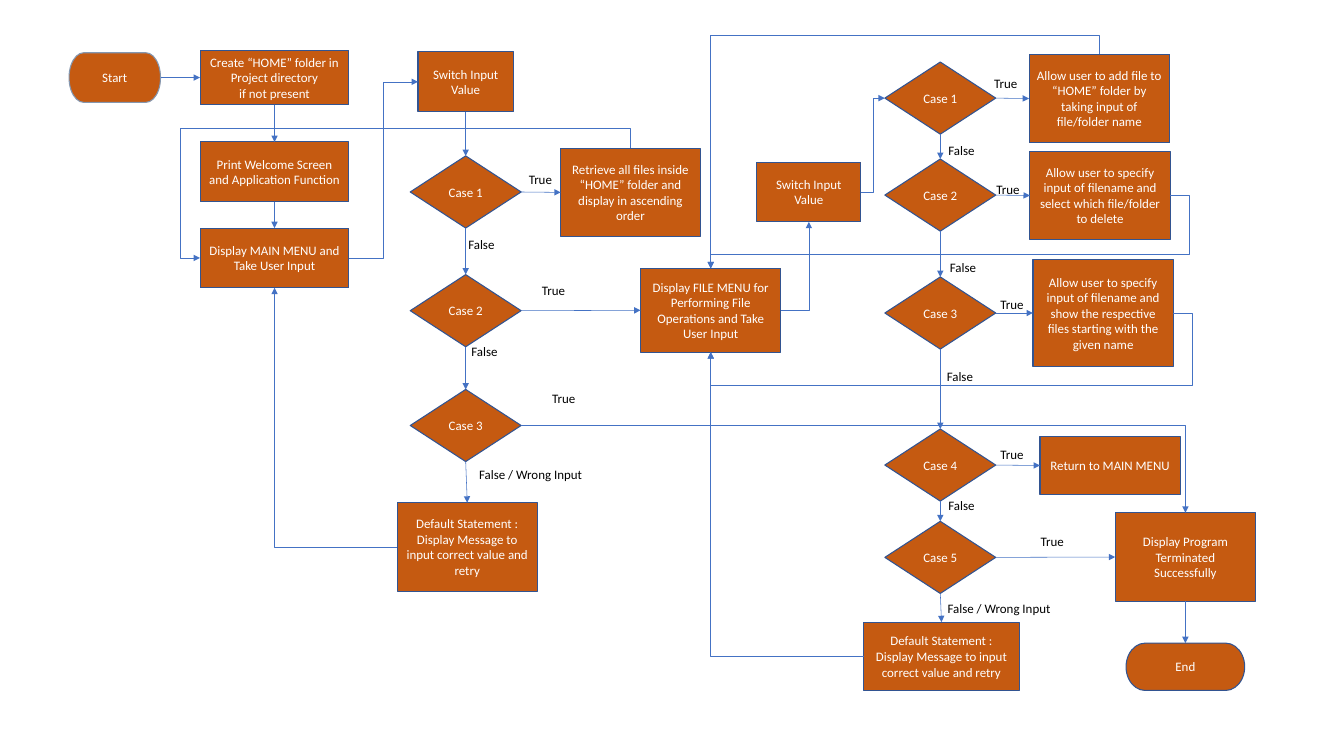
from collections import namedtuple

from lxml import etree
from pptx import Presentation
from pptx.dml.color import RGBColor
from pptx.enum.shapes import MSO_CONNECTOR, MSO_SHAPE
from pptx.enum.text import MSO_ANCHOR, MSO_AUTO_SIZE, PP_ALIGN
from pptx.oxml.ns import qn
from pptx.util import Pt

SCALE = 9144
PAGE_WIDTH, PAGE_HEIGHT = 1733, 950
COLORS = {"fill": "C55A11", "outline": "325491", "start": "8497B0",
          "arrow": "4472C4", "light": "FFFFFF", "dark": "000000"}
FONT = "Calibri"
RECTANGLE = MSO_SHAPE.RECTANGLE
PROCESS = MSO_SHAPE.FLOWCHART_PROCESS
DECISION = MSO_SHAPE.FLOWCHART_DECISION
TERMINATOR = MSO_SHAPE.FLOWCHART_TERMINATOR
STRAIGHT, ELBOW = MSO_CONNECTOR.STRAIGHT, MSO_CONNECTOR.ELBOW
CENTER, LEFT_ALIGN = PP_ALIGN.CENTER, PP_ALIGN.LEFT
MIDDLE, FIT_SHAPE = MSO_ANCHOR.MIDDLE, MSO_AUTO_SIZE.SHAPE_TO_FIT_TEXT
TOP, LEFT, BOTTOM, RIGHT = range(4)
CASE_SIZE = (143, 93)
STEP_SIZE = (181, 114)
LABEL_WIDTHS = {"True": 50, "False": 54, "False / Wrong Input": 154}
DEFAULT_TEXT = "Default Statement : Display Message to input correct value and retry"

Box = namedtuple("Box", "left top")


def px(length):
    """Turn px into EMU."""
    return round(length * SCALE)


def color(name):
    """Look up a named colour."""
    return RGBColor.from_string(COLORS[name])


def write_text(frame, text, color_name, align):
    """Fill a text frame and format its runs."""
    frame.text = text
    for para in frame.paragraphs:
        para.alignment = align
        for span in para.runs:
            span.font.name = FONT
            span.font.size = Pt(12)
            span.font.color.rgb = color(color_name)


def add_node(page, box, kind, text, place, size, outline="outline"):
    """Draw one flowchart node at a place inside the box."""
    node = page.shapes.add_shape(kind, px(box.left + place[0]), px(box.top + place[1]),
                                 px(size[0]), px(size[1]))
    node.shadow.inherit = False
    node.fill.solid()
    node.fill.fore_color.rgb = color("fill")
    node.line.color.rgb = color(outline)
    node.line.width = Pt(1)
    node.text_frame.word_wrap = True
    node.text_frame.vertical_anchor = MIDDLE
    write_text(node.text_frame, text, "light", CENTER)
    return node


def add_labels(page, box, labels):
    """Write branch labels inside the box."""
    for text, left, top in labels:
        label = page.shapes.add_textbox(px(box.left + left), px(box.top + top),
                                        px(LABEL_WIDTHS[text]), px(30))
        label.text_frame.word_wrap = False
        label.text_frame.auto_size = FIT_SHAPE
        write_text(label.text_frame, text, "dark", LEFT_ALIGN)


def add_arrow(page, source, source_side, target, target_side, kind=STRAIGHT):
    """Join two nodes with an arrow."""
    arrow = page.shapes.add_connector(kind, 0, 0, 0, 0)
    arrow.begin_connect(source, source_side)
    arrow.end_connect(target, target_side)
    arrow.line.color.rgb = color("arrow")
    arrow.line.width = Pt(0.5)
    properties = arrow._element.spPr
    etree.SubElement(properties.find(qn("a:ln")), qn("a:tailEnd"), type="triangle")
    etree.SubElement(properties, qn("a:effectLst"))
    return arrow


def add_elbow(page, source, source_side, target, target_side, bends=()):
    """Join two nodes with a bent arrow whose inner segments lie at the bends."""
    arrow = add_arrow(page, source, source_side, target, target_side, ELBOW)
    begin = (arrow.begin_x, arrow.begin_y)
    end = (arrow.end_x, arrow.end_y)
    delta = (end[0] - begin[0], end[1] - begin[1])
    first_axis = 1 if source_side in (TOP, BOTTOM) else 0
    properties = arrow._element.spPr
    if first_axis:
        center = ((begin[0] + end[0]) // 2, (begin[1] + end[1]) // 2)
        half = (-delta[1] // 2, delta[0] // 2)
        arrow.begin_x, arrow.begin_y = center[0] - half[0], center[1] - half[1]
        arrow.end_x, arrow.end_y = center[0] + half[0], center[1] + half[1]
        properties.find(qn("a:xfrm")).set("rot", "16200000")
    geometry = properties.find(qn("a:prstGeom"))
    geometry.set("prst", f"bentConnector{len(bends) + 2}")
    for index, bend in enumerate(bends):
        axis = (first_axis + index) % 2
        ratio = round((px(bend) - begin[axis]) / delta[axis] * 100000)
        etree.SubElement(geometry.find(qn("a:avLst")), qn("a:gd"),
                         name=f"adj{index + 1}" if len(bends) > 1 else "adj1",
                         fmla=f"val {ratio}")


def add_cases(page, box, left, tops):
    """Draw a column of numbered cases linked by arrows."""
    cases = [add_node(page, box, DECISION, f"Case {number}", (left, top), CASE_SIZE)
             for number, top in enumerate(tops, 1)]
    for upper, lower in zip(cases, cases[1:]):
        add_arrow(page, upper, BOTTOM, lower, TOP)
    return cases


def draw_startup(page, box):
    """Draw the start column and return the main menu node."""
    start = add_node(page, box, TERMINATOR, "Start", (0, 3), (118, 64), "start")
    folder = add_node(page, box, RECTANGLE,
                      "Create “HOME” folder in Project directory\nif not present",
                      (169, 0), (192, 70))
    welcome = add_node(page, box, RECTANGLE, "Print Welcome Screen and Application Function",
                       (169, 118), (192, 77))
    menu = add_node(page, box, RECTANGLE, "Display MAIN MENU and Take User Input",
                    (169, 229), (192, 77))
    add_arrow(page, start, RIGHT, folder, LEFT)
    add_arrow(page, folder, BOTTOM, welcome, TOP)
    add_arrow(page, welcome, BOTTOM, menu, TOP)
    return menu


def draw_main_switch(page, box, main_menu):
    """Draw the main menu switch and return its cases."""
    switch = add_node(page, box, RECTANGLE, "Switch Input\nValue", (27, 0), (123, 77))
    cases = add_cases(page, box, 17, (134, 287, 435))
    retrieve = add_node(page, box, PROCESS,
                        "Retrieve all files inside “HOME” folder and display in ascending order",
                        (211, 124), (180, 114))
    default = add_node(page, box, PROCESS, DEFAULT_TEXT, (0, 581), STEP_SIZE)
    add_arrow(page, switch, BOTTOM, cases[0], TOP)
    add_arrow(page, cases[0], RIGHT, retrieve, LEFT)
    add_arrow(page, cases[-1], BOTTOM, default, TOP)
    add_elbow(page, main_menu, RIGHT, switch, LEFT, (box.left - 18,))
    add_elbow(page, retrieve, TOP, main_menu, LEFT, (box.top + 99, box.left - 279))
    add_elbow(page, default, LEFT, main_menu, BOTTOM)
    add_labels(page, box, [("True", 160, 149), ("False", 82, 233), ("True", 177, 293),
                           ("False", 86, 371), ("True", 190, 432),
                           ("False / Wrong Input", 96, 529)])
    return cases


def draw_file_switch(page, box):
    """Draw the file menu with its switch and return the menu and its cases."""
    menu = add_node(page, box, PROCESS,
                    "Display FILE MENU for Performing File Operations and Take User Input",
                    (0, 276), (181, 108))
    switch = add_node(page, box, RECTANGLE, "Switch Input\nValue", (150, 139), (134, 77))
    cases = add_cases(page, box, 315, (10, 135, 287, 483, 602))
    steps = [add_node(page, box, PROCESS, text, place, (181, height))
             for text, place, height in (
                 ("Allow user to add file to “HOME” folder by taking input of file/folder name",
                  (501, 0), 114),
                 ("Allow user to specify input of filename and select which file/folder to delete",
                  (502, 125), 114),
                 ("Allow user to specify input of filename and show the respective files "
                  "starting with the given name", (506, 265), 137),
                 ("Return to MAIN MENU", (515, 493), 74))]
    default = add_node(page, box, PROCESS, DEFAULT_TEXT, (288, 732), (200, 88))
    for case, step in zip(cases, steps):
        add_arrow(page, case, RIGHT, step, LEFT)
    add_arrow(page, cases[-1], BOTTOM, default, TOP)
    add_elbow(page, menu, RIGHT, switch, BOTTOM)
    add_elbow(page, switch, RIGHT, cases[0], LEFT, (box.left + 300,))
    add_elbow(page, steps[0], TOP, menu, TOP, (box.top - 25,))
    add_elbow(page, steps[1], RIGHT, menu, TOP, (box.left + 708, box.top + 258))
    add_elbow(page, steps[2], RIGHT, menu, BOTTOM, (box.left + 711, box.top + 426))
    add_elbow(page, default, LEFT, menu, BOTTOM)
    add_labels(page, box, [("True", 446, 23), ("False", 387, 109), ("True", 449, 159),
                           ("False", 389, 260), ("True", 454, 308), ("False", 385, 400),
                           ("True", 454, 501), ("False", 387, 566), ("True", 506, 613),
                           ("False / Wrong Input", 386, 699)])
    return menu, cases


def draw_ending(page, box, main_exit, file_exit):
    """Draw the termination message and the end node."""
    message = add_node(page, box, PROCESS, "Display Program Terminated Successfully",
                       (0, 0), STEP_SIZE)
    end = add_node(page, box, TERMINATOR, "End", (14, 168), (153, 61))
    add_arrow(page, message, BOTTOM, end, TOP)
    add_arrow(page, file_exit, RIGHT, message, LEFT)
    add_elbow(page, main_exit, RIGHT, message, TOP)


def main():
    """Build the flowchart deck."""
    deck = Presentation()
    deck.slide_width, deck.slide_height = px(PAGE_WIDTH), px(PAGE_HEIGHT)
    page = deck.slides.add_slide(deck.slide_layouts[6])
    main_menu = draw_startup(page, Box(89, 65))
    main_cases = draw_main_switch(page, Box(512, 67), main_menu)
    file_menu, file_cases = draw_file_switch(page, Box(826, 70))
    add_arrow(page, main_cases[1], RIGHT, file_menu, LEFT)
    draw_ending(page, Box(1438, 661), main_cases[2], file_cases[4])
    deck.save("out.pptx")


if __name__ == "__main__":
    main()
